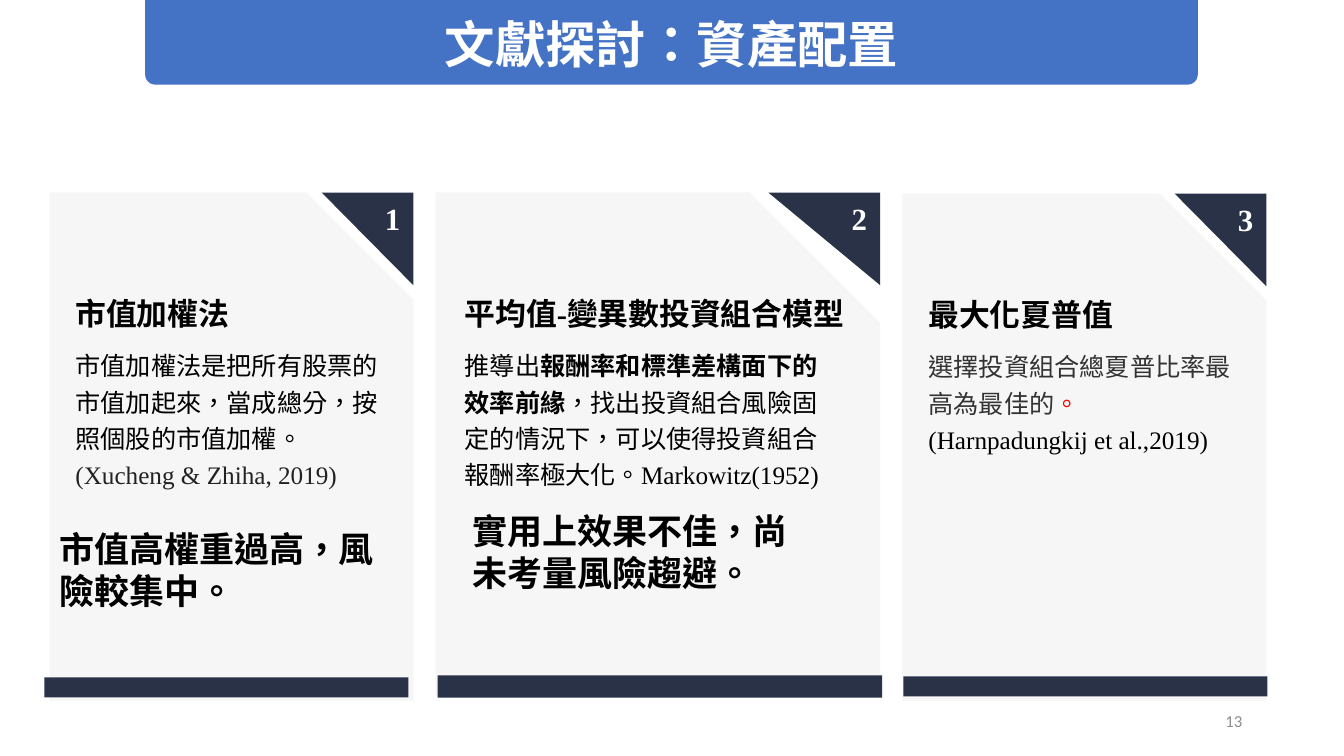
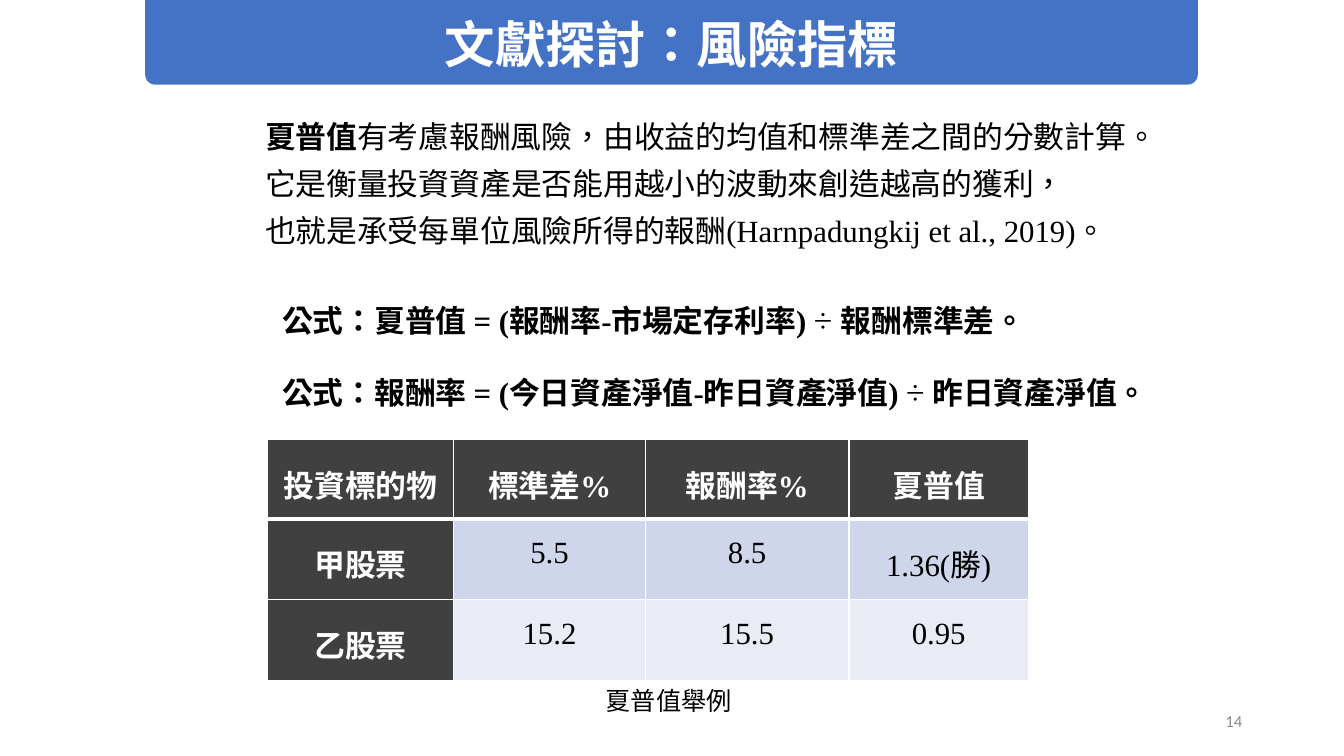
"""Build two literature review slides on asset allocation and risk indicators."""
from lxml import etree
from pptx import Presentation
from pptx import util as u
from pptx.dml.color import RGBColor
from pptx.enum import lang, shapes, text
from pptx.oxml import ns

PX = 9144
COLORS = {
    "band": "4472C4", "navy": "293247", "card": "F6F6F6", "white": "FFFFFF",
    "black": "000000", "cite": "222222", "gray": "333333", "red": "FF0000",
    "number": "8C8C8C", "head": "404040", "odd": "CFD5EA", "even": "E9EBF5",
}
SERIF, CJK, SANS = "Times New Roman", "Noto Sans CJK SC", "Calibri"
ALIGN = {"l": text.PP_ALIGN.LEFT, "c": text.PP_ALIGN.CENTER, "r": text.PP_ALIGN.RIGHT}

CARDS = [
    dict(box=(49, 191, 361, 504), corner=91, bar=(44, 672, 361, 20), indent=16,
         head_w=265, body_w=320, head="市值加權法",
         body=[("市值加權法是把所有股票的市值加起來，當成總分，按照個股的市值加權。", {}),
               ("(Xucheng & Zhiha, 2019)", dict(color="cite"))],
         verdict=(49, 518, "市值高權重過高，風險較集中。")),
    dict(box=(432, 191, 441, 500), corner=111, bar=(434, 670, 441, 22), indent=19,
         head_w=420, body_w=391, head="平均值-變異數投資組合模型",
         body=[("推導出", {}),
               ("報酬率和標準差構面下的效率前緣", dict(bold=True)),
               ("，找出投資組合風險固定的情況下，可以使得投資組合報酬率極大化。"
                "Markowitz(1952)", {})],
         verdict=(459, 501, "實用上效果不佳，尚未考量風險趨避。")),
    dict(box=(895, 192, 361, 503), corner=91, bar=(896, 671, 361, 20), indent=16,
         head_w=265, body_w=320, head="最大化夏普值",
         body=[("選擇投資組合總夏普比率最高為最佳的", dict(font="Cambria", color="gray")),
               ("。 ", dict(color="red")),
               ("(Harnpadungkij et al.,2019)", {})],
         verdict=None),
]
SHARPE_TEXT = [
    [("夏普值", dict(bold=True)), ("有考慮報酬風險，由收益的均值和標準差之間的分數計算。", {})],
    "它是衡量投資資產是否能用越小的波動來創造越高的獲利，",
    "也就是承受每單位風險所得的報酬(Harnpadungkij et al., 2019)。",
]
FORMULAS = [
    (292, 843, "公式：夏普值 = (報酬率-市場定存利率) ", "÷ ", "報酬標準差。"),
    (363, 951, "公式：報酬率 = (今日資產淨值-昨日資產淨值) ", "÷", " 昨日資產淨值。"),
]
ROWS = [
    ["投資標的物", "標準差%", "報酬率%", "夏普值"],
    ["甲股票", "5.5", "8.5", "1.36(勝)"],
    ["乙股票", "15.2", "15.5", "0.95"],
]
COL_W, ROW_H = [185, 190, 202, 178], [79, 80, 80]


def rgb(name):
    """Return the named colour."""
    return RGBColor.from_string(COLORS[name])


def emu(*lengths):
    """Turn px lengths into EMU."""
    return [n * PX for n in lengths]


def add_run(p, content, size=18, color="black", bold=False, font=SERIF, ea=SANS):
    """Append one formatted run to a paragraph."""
    r = p.add_run()
    r.text = content
    f = r.font
    f.size, f.bold, f.name = u.Pt(size), bold, font
    f.color.rgb = rgb(color)
    f.language_id = lang.MSO_LANGUAGE_ID.TRADITIONAL_CHINESE
    latin = r._r.rPr.find(ns.qn("a:latin"))
    latin.addnext(latin.makeelement(ns.qn("a:ea"), {"typeface": ea}))


def write(tf, paragraphs, align="l", spacing=None, before=0, **fmt):
    """Fill a text frame; a paragraph is a string or a list of (text, format) runs."""
    for i, runs in enumerate(paragraphs):
        p = tf.add_paragraph() if i else tf.paragraphs[0]
        p.alignment = ALIGN[align]
        if spacing:
            p.line_spacing = spacing
        if i and before:
            p.space_before = u.Pt(before)
        for content, own in [(runs, {})] if isinstance(runs, str) else runs:
            add_run(p, content, **{**fmt, **own})


def add_text(s, box, paragraphs, middle=False, **fmt):
    """Add a wrapping text box."""
    tf = s.shapes.add_textbox(*emu(*box)).text_frame
    tf.word_wrap = True
    tf.vertical_anchor = text.MSO_ANCHOR.MIDDLE if middle else text.MSO_ANCHOR.TOP
    write(tf, paragraphs, **fmt)


def paint(sp, color):
    """Give a shape a plain fill without line or shadow."""
    sp.shadow.inherit = False
    sp.fill.solid()
    sp.fill.fore_color.rgb = rgb(color)
    sp.line.fill.background()
    return sp


def add_block(s, kind, box, color, *adjustments):
    """Add a plain preset shape."""
    sp = paint(s.shapes.add_shape(kind, *emu(*box)), color)
    for i, value in enumerate(adjustments):
        sp.adjustments[i] = value
    return sp


def add_corner(s, right, top, width, number):
    """Add the numbered triangle in a card corner."""
    builder = s.shapes.build_freeform(right, top, scale=PX)
    builder.add_line_segments([(right - width, top), (right, top + 92)], close=True)
    tf = paint(builder.convert_to_shape(), "navy").text_frame
    tf.margin_left = tf.margin_right = 13 * PX
    tf.margin_top = tf.margin_bottom = 7 * PX
    tf.vertical_anchor = text.MSO_ANCHOR.TOP
    write(tf, [str(number)], align="r", size=22, color="white", bold=True)


def add_card(s, number, card):
    """Add one numbered card with heading, body, verdict and base bar."""
    x, y, w, h = card["box"]
    left = x + card["indent"]
    add_block(s, shapes.MSO_SHAPE.SNIP_1_RECTANGLE, card["box"], "card", 0.294)
    add_block(s, shapes.MSO_SHAPE.RECTANGLE, card["bar"], "navy")
    add_corner(s, x + w, y, card["corner"], number)
    add_text(s, (left, y + 89, card["head_w"], 51), [card["head"]],
             spacing=1.2, size=22, bold=True)
    add_text(s, (left, y + 146, card["body_w"], 152), [card["body"]], spacing=1.2)
    if card["verdict"]:
        vx, vy, words = card["verdict"]
        add_text(s, (vx, vy, 336, 94), [words], size=25, bold=True)


def border(cell, side, width):
    """Draw one white cell border."""
    ln = etree.SubElement(cell._tc.get_or_add_tcPr(), ns.qn("a:ln" + side),
                          w=str(u.Pt(width)))
    fill = etree.SubElement(ln, ns.qn("a:solidFill"))
    etree.SubElement(fill, ns.qn("a:srgbClr"), val=COLORS["white"])


def add_table(s, x, y):
    """Add the table of example values."""
    table = s.shapes.add_table(len(ROWS), len(COL_W),
                               *emu(x, y, sum(COL_W), sum(ROW_H))).table
    for col, w in zip(table.columns, COL_W):
        col.width = w * PX
    for i, (row, h) in enumerate(zip(ROWS, ROW_H)):
        table.rows[i].height = h * PX
        for j, value in enumerate(row):
            cell = table.cell(i, j)
            head = i == 0 or j == 0
            for side in "LRTB":
                thick = (i, side) in ((0, "B"), (1, "T"))
                border(cell, side, 3 if thick else 1)
            cell.fill.solid()
            cell.fill.fore_color.rgb = rgb("head" if head else "odd" if i % 2 else "even")
            cell.margin_left = cell.margin_right = 7 * PX
            cell.margin_top = cell.margin_bottom = 0
            write(cell.text_frame, [value], align="c", spacing=1.5, size=22, bold=head,
                  color="white" if head else "black", ea=CJK)


def add_slide(prs, title, number):
    """Add a slide with title band and page number."""
    s = prs.slides.add_slide(prs.slide_layouts[6])
    band = add_block(s, shapes.MSO_SHAPE.ROUND_2_SAME_RECTANGLE, (144, 0, 1044, 84),
                     "band", 0, 0.12)
    tf = band.text_frame
    tf.margin_top = 9 * PX
    tf.vertical_anchor = text.MSO_ANCHOR.MIDDLE
    write(tf, [title], align="c", size=36, color="white", bold=True, font=CJK, ea=CJK)
    add_text(s, (942, 695, 300, 40), [str(number)], middle=True, align="r", size=12,
             color="number", font=SANS)
    return s


def main():
    """Build and save the presentation."""
    prs = Presentation()
    prs.slide_width, prs.slide_height = emu(1333, 750)

    s = add_slide(prs, "文獻探討：資產配置", 13)
    for number, card in enumerate(CARDS, 1):
        add_card(s, number, card)

    s = add_slide(prs, "文獻探討：風險指標", 14)
    add_text(s, (253, 116, 892, 169), SHARPE_TEXT, spacing=0.9, before=10, size=22)
    for y, w, left, sign, right in FORMULAS:
        runs = [(left, {}), (sign, dict(size=24, bold=False)), (right, {})]
        add_text(s, (270, y, w, 50), [runs], size=22, bold=True)
    add_table(s, 265, 436)
    add_text(s, (591, 675, 152, 40), ["夏普值舉例"], font=CJK, ea=CJK)

    prs.save("out.pptx")


if __name__ == "__main__":
    main()
